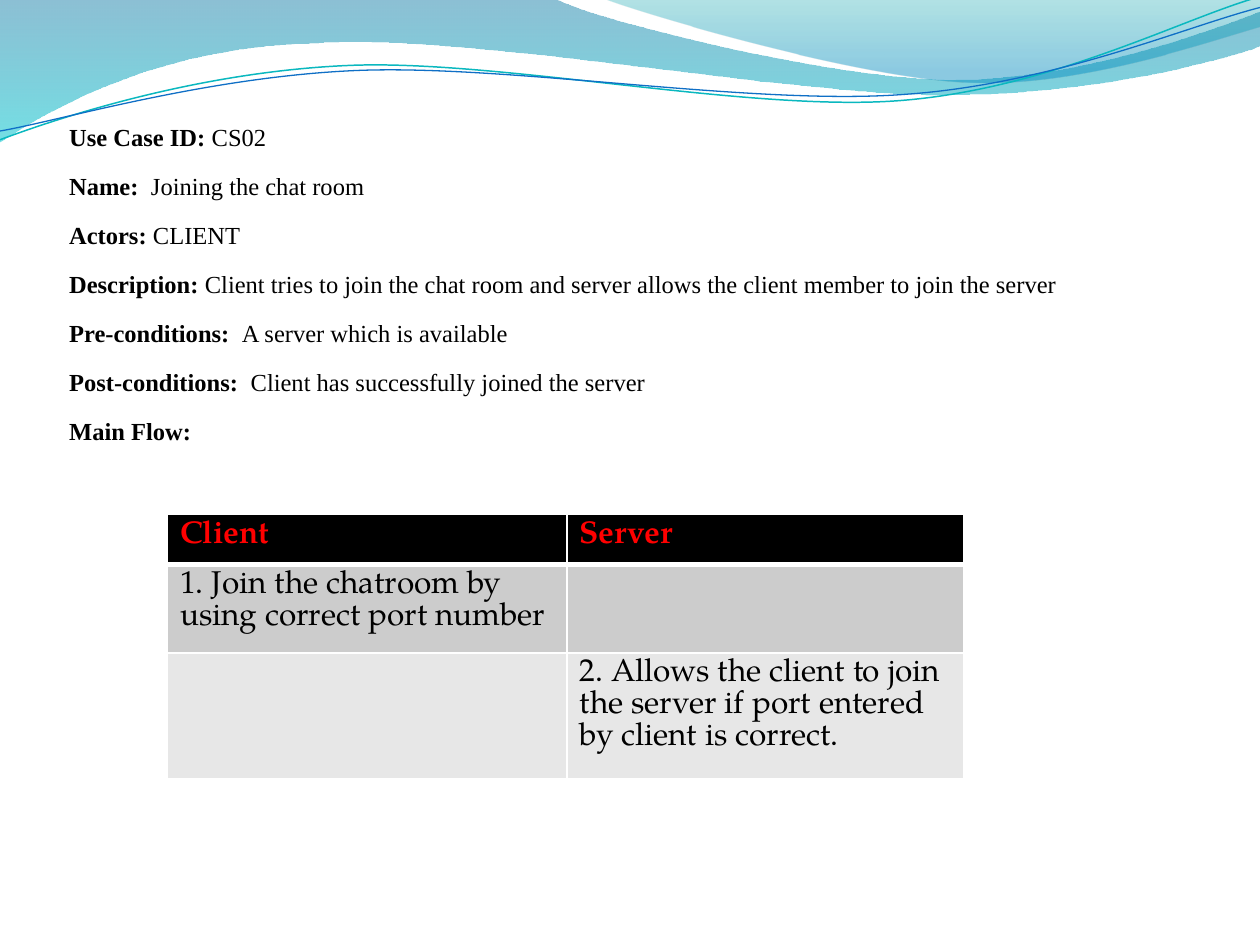
"""Build the slide for use case CS02, joining the chat room."""
from math import cos, radians, sin
from lxml import etree
from pptx import Presentation
from pptx.dml.color import RGBColor
from pptx.enum.text import MSO_ANCHOR
from pptx.oxml.ns import qn
from pptx.util import Inches, Pt

TOP = MSO_ANCHOR.TOP
SERIF = "Times New Roman"
BOOK = "TeX Gyre Pagella"
TILT = 2.7


def rgb(code):
    return RGBColor.from_string(code)


def draw(start, parts, close):
    """Draw a path of straight (2 values) and cubic (6 values) parts."""
    flat = [v for part in (start, *parts) for v in part]
    pts = [(Inches(x), Inches(y)) for x, y in zip(flat[::2], flat[1::2])]
    path = slide.shapes.build_freeform(*pts[0], scale=1.0)
    path.add_line_segments(pts[1:], close=close)
    shape = path.convert_to_shape()
    shape.shadow.inherit = False
    lines = iter(list(shape._element.iter(qn("a:lnTo"))))
    for part in parts:
        first = next(lines)
        if len(part) == 6:
            first.tag_name = None
            cubic = etree.Element(qn("a:cubicBezTo"))
            first.addprevious(cubic)
            for line in (first, next(lines), next(lines)):
                cubic.append(line[0])
                line.getparent().remove(line)
    return shape


prs = Presentation()
prs.slide_width, prs.slide_height = Inches(10), Inches(7.5)
slide = prs.slides.add_slide(prs.slide_layouts[6])

waves = [
    ((0, 0),
     [(4.4, -0.01), (4.76, 0.17, 6.64, 0.63, 7.58, 0.63),
      (8.53, 0.63, 9.58, 0.26, 10, 0.09), (10.01, 0.36),
      (9.83, 0.44, 8.7, 0.76, 7.46, 0.75), (6.22, 0.75, 3.82, 0.28, 2.57, 0.34),
      (1.29, 0.36, 0.46, 0.83, -0.01, 1.13), (0, 0)],
     [(0, "0074A1", 45), (1, "00C6CF", 55)]),
    ((4.79, -0.01),
     [(5.09, 0.11, 6.82, 0.62, 7.69, 0.65), (8.56, 0.69, 9.61, 0.32, 10, 0.21),
      (10, 0), (4.79, -0.01)],
     [(0, "00A1A9", 30), (0.8, "008BBF", 45)]),
]
for start, parts, stops in waves:
    wave = draw(start, parts, True)
    wave.line.fill.background()
    wave.fill.gradient()
    wave.fill.gradient_angle = 270
    for stop, (pos, code, alpha) in zip(wave.fill.gradient_stops, stops):
        stop.position = pos
        stop.color.rgb = rgb(code)
    for color, (pos, code, alpha) in zip(wave._element.iter(qn("a:srgbClr")), stops):
        etree.SubElement(color, qn("a:alpha"), val=str(alpha * 1000))

curves = [
    (0.58, (0, 1.11),
     [(0.48, 0.93, 1.58, 0.57, 2.77, 0.52), (3.95, 0.47, 5.93, 0.89, 7.13, 0.8),
      (8.33, 0.71, 9.38, 0.15, 9.98, -0.02)], "0AB8BF", 0.85),
    (0.59, (0, 1.04),
     [(0.47, 0.96, 1.64, 0.61, 2.83, 0.56), (4.03, 0.51, 5.97, 0.84, 7.17, 0.75),
      (8.36, 0.67, 9.41, 0.21, 10, 0.06)], "0F6FC6", 0.75),
]
co, si = cos(radians(TILT)), sin(radians(TILT))
for mid, start, parts, code, width in curves:
    level = []
    for part in (start, *parts):
        spots = [(x - 5, y - mid) for x, y in zip(part[::2], part[1::2])]
        level.append([v for x, y in spots
                      for v in (5 + x * co - y * si, mid + x * si + y * co)])
    curve = draw(level[0], level[1:], False)
    curve.rotation = 360 - TILT
    curve.fill.background()
    curve.line.color.rgb = rgb(code)
    curve.line.width = Pt(width)

facts = [
    ("Use Case ID:", " CS02"),
    ("Name: ", " Joining the chat room"),
    ("Actors: ", "CLIENT"),
    ("Description: ", "Client tries to join the chat room and server allows "
                      "the client member to join the server"),
    ("Pre-conditions:  ", "A server which is available"),
    ("Post-conditions:  ", "Client has successfully joined the server"),
    ("Main Flow:", ""),
]
box = slide.shapes.add_textbox(Inches(0.45), Inches(0.74), Inches(8.08), Inches(3.15))
frame = box.text_frame
frame.word_wrap = True
frame.vertical_anchor = TOP
frame.margin_top = Inches(0.07)
for i, (label, value) in enumerate(facts):
    para = frame.paragraphs[0] if i == 0 else frame.add_paragraph()
    para.line_spacing = Pt(28)
    para.font.name, para.font.size = SERIF, Pt(14)
    para.font.color.rgb = rgb("000000")
    run = para.add_run()
    run.text = label
    run.font.bold = True
    if value:
        para.add_run().text = value

flow = [
    (0.4, "000000", "FF0000", ["Client", "Server"]),
    (0.69, "CCCCCC", "000000", ["1. Join the chatroom by using correct port number", ""]),
    (0.99, "E7E7E7", "000000",
     ["", "2. Allows the client to join the server if port entered by client is correct."]),
]
table = slide.shapes.add_table(3, 2, Inches(1.33), Inches(4.08),
                               Inches(6.32), Inches(2.08)).table
for col, width in zip(table.columns, (3.17, 3.15)):
    col.width = Inches(width)
for i, (row, (height, back, ink, texts)) in enumerate(zip(table.rows, flow)):
    row.height = Inches(height)
    for cell, text in zip(row.cells, texts):
        if i == 0:
            props = cell._tc.get_or_add_tcPr()
            for side, width in zip("LRTB", (1, 1, 1, 3)):
                edge = etree.SubElement(props, qn("a:ln" + side), w=str(Pt(width)))
                solid = etree.SubElement(edge, qn("a:solidFill"))
                etree.SubElement(solid, qn("a:srgbClr"), val="FFFFFF")
        cell.fill.solid()
        cell.fill.fore_color.rgb = rgb(back)
        if text:
            cell.text = text
        font = cell.text_frame.paragraphs[0].font
        font.name, font.size, font.bold = BOOK, Pt(18), i == 0
        font.color.rgb = rgb(ink)

prs.save("out.pptx")
